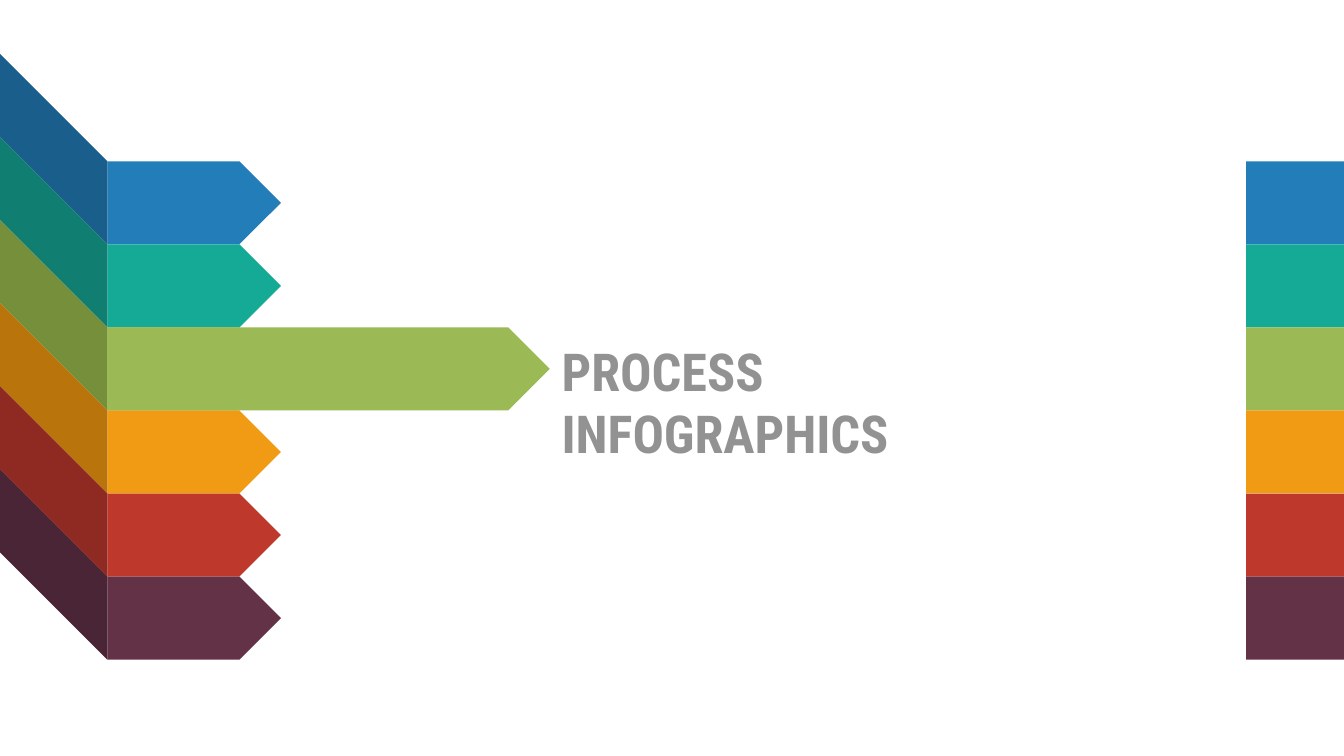
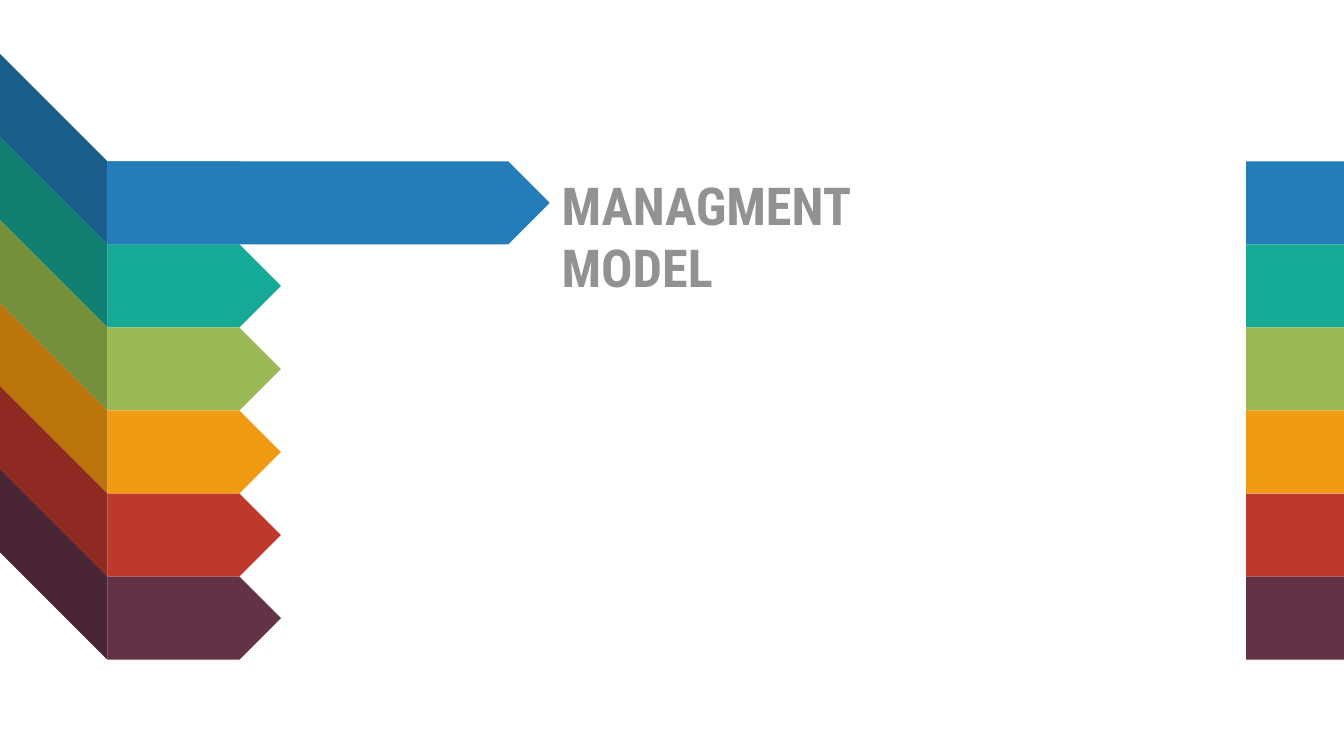
from dataclasses import dataclass

from pptx import Presentation
from pptx.dml.color import RGBColor as Rgb
from pptx.enum.shapes import MSO_SHAPE as Shape
from pptx.enum.text import MSO_ANCHOR as Anchor, MSO_AUTO_SIZE as Fit, PP_ALIGN as Align
from pptx.util import Cm, Pt


@dataclass(frozen=True)
class Theme:
    bands: tuple = (
        ("237DB9", "1A5E8B"),
        ("15AA96", "107F71"),
        ("9BB955", "768F3B"),
        ("F19B14", "B9750B"),
        ("BE382C", "8E2A21"),
        ("633247", "4A2535"),
    )
    paper: str = "FFFFFF"
    ink: str = "929292"
    font: str = "Roboto Condensed"
    size: int = 28


THEME = Theme()
WIDE, HIGH = 25.4, 14.29
FOLD, TOP, STEP = 2.03, 3.05, 1.57
SHORT, LONG = 3.28, 8.36
EDGE = 23.55
TEXT = 10.36

SLIDES = (
    ("PROCESS INFOGRAPHICS", 2, 10.59),
    ("MANAGMENT MODEL", 0, 8.84),
)


def style(item, values):
    for name, value in values.items():
        setattr(item, name, value)


def paint(shape, tint):
    shape.shadow.inherit = False
    shape.fill.solid()
    shape.fill.fore_color.rgb = Rgb.from_string(tint)
    shape.line.fill.background()


def level(row):
    return TOP + row * STEP


def block(slide, kind, left, row, width, tint):
    shape = slide.shapes.add_shape(kind, Cm(left), Cm(level(row)), Cm(width), Cm(STEP))
    paint(shape, tint)


def slant(slide, row, tint):
    top = level(row)
    points = [(FOLD, top), (FOLD, top + STEP), (0, top + STEP - FOLD), (0, top - FOLD)]
    start, *rest = [(Cm(x), Cm(y)) for x, y in points]
    pen = slide.shapes.build_freeform(*start)
    pen.add_line_segments(rest, close=True)
    paint(pen.convert_to_shape(), tint)


def title(slide, words, row, width):
    head = slide.shapes.title
    style(head, {"left": Cm(TEXT), "top": Cm(level(row) + 0.09),
                 "width": Cm(width), "height": Cm(1.45)})
    frame = head.text_frame
    frame.text = words
    style(frame, {"word_wrap": True, "auto_size": Fit.SHAPE_TO_FIT_TEXT,
                  "vertical_anchor": Anchor.TOP})
    line = frame.paragraphs[0]
    line.alignment = Align.LEFT
    font = line.runs[0].font
    style(font, {"name": THEME.font, "size": Pt(THEME.size), "bold": True})
    font.color.rgb = Rgb.from_string(THEME.ink)


def build(deck, words, focus, width):
    slide = deck.slides.add_slide(deck.slide_layouts[5])
    back = slide.background.fill
    back.solid()
    back.fore_color.rgb = Rgb.from_string(THEME.paper)
    for row, (light, dark) in enumerate(THEME.bands):
        block(slide, Shape.PENTAGON, FOLD, row, SHORT, light)
        slant(slide, row, dark)
        block(slide, Shape.RECTANGLE, EDGE, row, WIDE - EDGE, light)
    block(slide, Shape.PENTAGON, FOLD, focus, LONG, THEME.bands[focus][0])
    title(slide, words, focus, width)


def main():
    deck = Presentation()
    style(deck, {"slide_width": Cm(WIDE), "slide_height": Cm(HIGH)})
    for entry in SLIDES:
        build(deck, *entry)
    deck.save("out.pptx")


if __name__ == "__main__":
    main()
